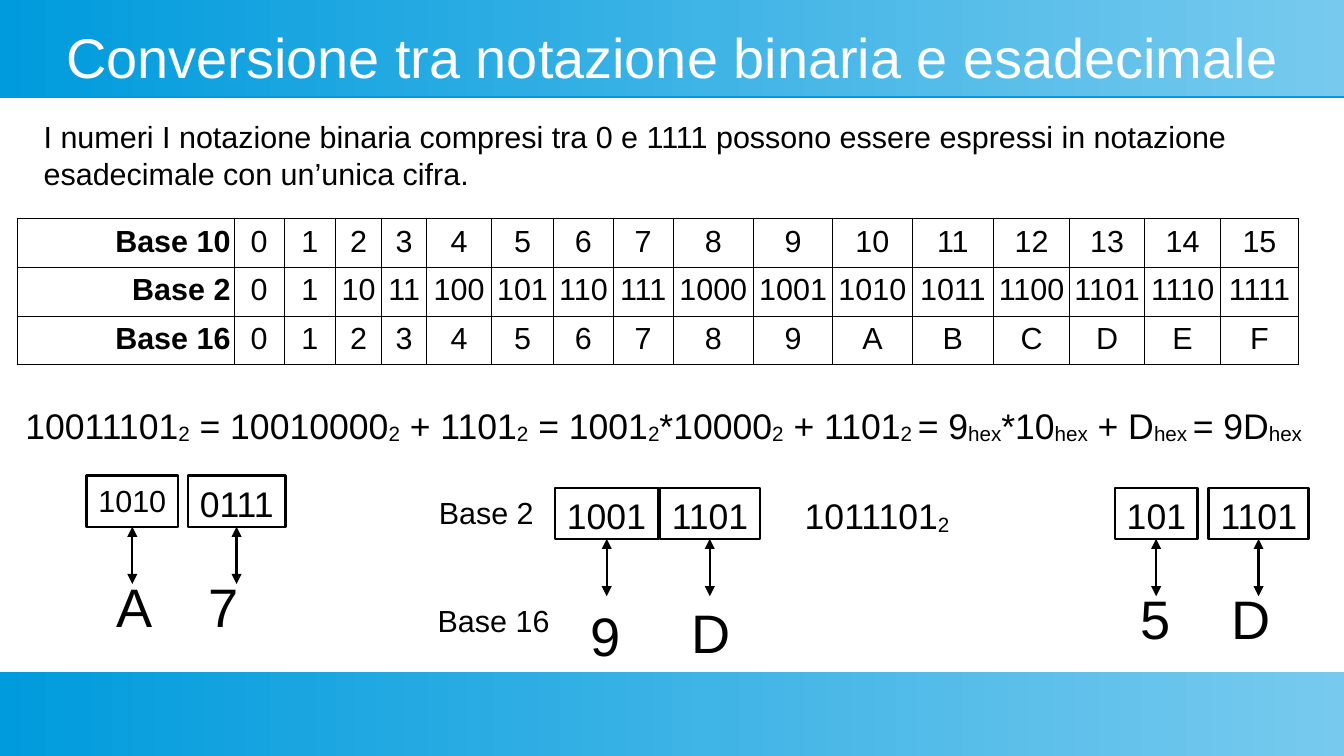
from lxml.etree import SubElement as Sub
from pptx import Presentation
from pptx.dml.color import RGBColor as Rgb
from pptx.enum.shapes import MSO_CONNECTOR as Link, MSO_SHAPE as Kind
from pptx.enum.text import MSO_ANCHOR as Anchor, PP_ALIGN as Align
from pptx.oxml.ns import qn
from pptx.util import Inches, Pt

COLS, ROWS = 110.2, 62
WIDE, HIGH = Inches(11.02), Inches(6.2)
INK = {"text": "000000", "title": "FFFFFF", "deep": "009BDD", "pale": "77CAEE"}
FONT = "Arial"
SMALL, MID, TITLE, LARGE = 18, 21, 33, 32
BITS = 4


def across(n):
    return round(n * WIDE / COLS)


def down(n):
    return round(n * HIGH / ROWS)


def place(left, top, width, height):
    return across(left), down(top), across(width), down(height)


def write(frame, text, size=SMALL, ink="text", bold=False, align=Align.LEFT,
          anchor=Anchor.TOP, wrap=True, pad=(1, 0.5)):
    """Fill a text frame; each second part between bars is a subscript."""
    frame.word_wrap = wrap
    frame.vertical_anchor = anchor
    frame.margin_left = frame.margin_right = across(pad[0])
    frame.margin_top = frame.margin_bottom = down(pad[1])
    line = frame.paragraphs[0]
    line.alignment = align
    for i, part in enumerate(text.split("|")):
        if not part:
            continue
        run = line.add_run()
        run.text = part
        run.font.name, run.font.size, run.font.bold = FONT, Pt(size), bold
        run.font.color.rgb = Rgb.from_string(INK[ink])
        if i % 2:
            run._r.get_or_add_rPr().set("baseline", "-8000")


def label(slide, text, *spot, **form):
    write(slide.shapes.add_textbox(*place(*spot)).text_frame, text, **form)


def band(slide, top, height):
    bar = slide.shapes.add_shape(Kind.RECTANGLE, *place(0, top, COLS, height))
    bar.line.fill.background()
    bar.fill.gradient()
    bar.fill.gradient_angle = 0
    for stop, ink in zip(bar.fill.gradient_stops, ("deep", "pale")):
        stop.color.rgb = Rgb.from_string(INK[ink])
    bar.shadow.inherit = False
    glow = Sub(bar._element.spPr.find(qn("a:effectLst")), qn("a:outerShdw"),
               blurRad="0", dist=str(Pt(0.9)), dir="5400000", rotWithShape="0")
    Sub(glow, qn("a:srgbClr"), val=INK["deep"])


def stroke(shape):
    shape.line.color.rgb = Rgb.from_string(INK["text"])
    shape.line.width = Pt(1.42)


def box(slide, text, *spot, **form):
    shape = slide.shapes.add_shape(Kind.RECTANGLE, *place(*spot))
    shape.shadow.inherit = False
    shape.fill.background()
    stroke(shape)
    write(shape.text_frame, text, wrap=False, **form)


def arrow(slide, left, top, length):
    line = slide.shapes.add_connector(Link.STRAIGHT, across(left), down(top),
                                      across(left), down(top + length))
    stroke(line)
    props = line._element.spPr
    for end in ("a:headEnd", "a:tailEnd"):
        Sub(props.find(qn("a:ln")), qn(end), type="triangle")
    Sub(props, qn("a:effectLst"))


def match(slide, bits, left, top, width, digit, spot, **form):
    """Link a box of bits to its hex digit."""
    tall = 4.2
    box(slide, bits, left, top, width, tall, **form)
    arrow(slide, left + width / 2, top + tall, 4.7)
    label(slide, digit, *spot, 5, 6, size=LARGE)


def frame(cell):
    props = cell._tc.get_or_add_tcPr()
    for side in ("a:lnL", "a:lnR", "a:lnT", "a:lnB"):
        edge = Sub(props, qn(side), w=str(Pt(0.57)))
        Sub(Sub(edge, qn("a:solidFill")), qn("a:srgbClr"), val=INK["text"])
    cell.fill.background()


def chart(slide, left, top, widths, tall, rows):
    """Draw the table of number bases."""
    spot = place(left, top, sum(widths), tall * len(rows))
    table = slide.shapes.add_table(len(rows), len(widths), *spot).table
    table.first_row = table.horz_banding = False
    for col, width in zip(table.columns, widths):
        col.width = across(width)
    for r, (row, (name, form)) in enumerate(zip(table.rows, rows.items())):
        row.height = down(tall)
        texts = [name] + [format(n, form) for n in range(2 ** BITS)]
        for c, text in enumerate(texts):
            cell = table.cell(r, c)
            frame(cell)
            write(cell.text_frame, text, bold=c == 0,
                  align=Align.CENTER if c else Align.RIGHT)
            cell.margin_left = cell.margin_right = across(0.3)
            cell.margin_top = cell.margin_bottom = down(0.5)


def main():
    deck = Presentation()
    deck.slide_width, deck.slide_height = WIDE, HIGH
    slide = deck.slides.add_slide(deck.slide_layouts[6])

    band(slide, 0, 7.9)
    band(slide, 55.1, 6.9)
    label(slide, "Conversione tra notazione binaria e esadecimale",
          3.9, 2, 102.4, 5.2, size=TITLE, ink="title", align=Align.CENTER,
          anchor=Anchor.MIDDLE, pad=(0, 0))
    label(slide, "I numeri I notazione binaria compresi tra 0 e 1111 possono "
          "essere espressi in notazione esadecimale con un’unica cifra.",
          2.6, 9.2, 105, 7.5)
    widths = [17.8, 4.1, 4.2, 3.8, 3.7, 5.3, 5.1, 4.9, 4.9,
              6.6, 6.5, 6.5, 6.7, 6.2, 6.2, 6.2, 6.4]
    chart(slide, 1.4, 17.9, widths, 4,
          {"Base 10": "d", "Base 2": "b", "Base 16": "X"})
    label(slide, "10011101|2| = 10010000|2| + 1101|2| = 1001|2|*10000|2| + "
          "1101|2 |= 9|hex|*10|hex| + D|hex |= 9D|hex",
          1.1, 32.6, 107.7, 4.9, size=MID)

    match(slide, "1010", 7.1, 39, 7.5, "A", (8.6, 46.5), align=Align.CENTER)
    for bits, left, top, width, digit, spot in (
            ("0111", 15.4, 39, 8, "7", (16.1, 46.5)),
            ("1001", 45.5, 40, 8.5, "9", (47.4, 48.9)),
            ("1101", 54.1, 40, 8.2, "D", (55.7, 48.7)),
            ("101", 91.4, 40, 6.8, "5", (92.5, 47.5)),
            ("1101", 99.1, 40, 8.2, "D", (100, 47.5))):
        match(slide, bits, left, top, width, digit, spot, size=MID)

    label(slide, "Base 2", 35, 40, 10, 5)
    label(slide, "Base 16", 34.9, 48.9, 12.5, 6.6)
    label(slide, "1011101|2", 65, 40, 15.4, 4.2, size=MID)
    deck.save("out.pptx")


if __name__ == "__main__":
    main()
